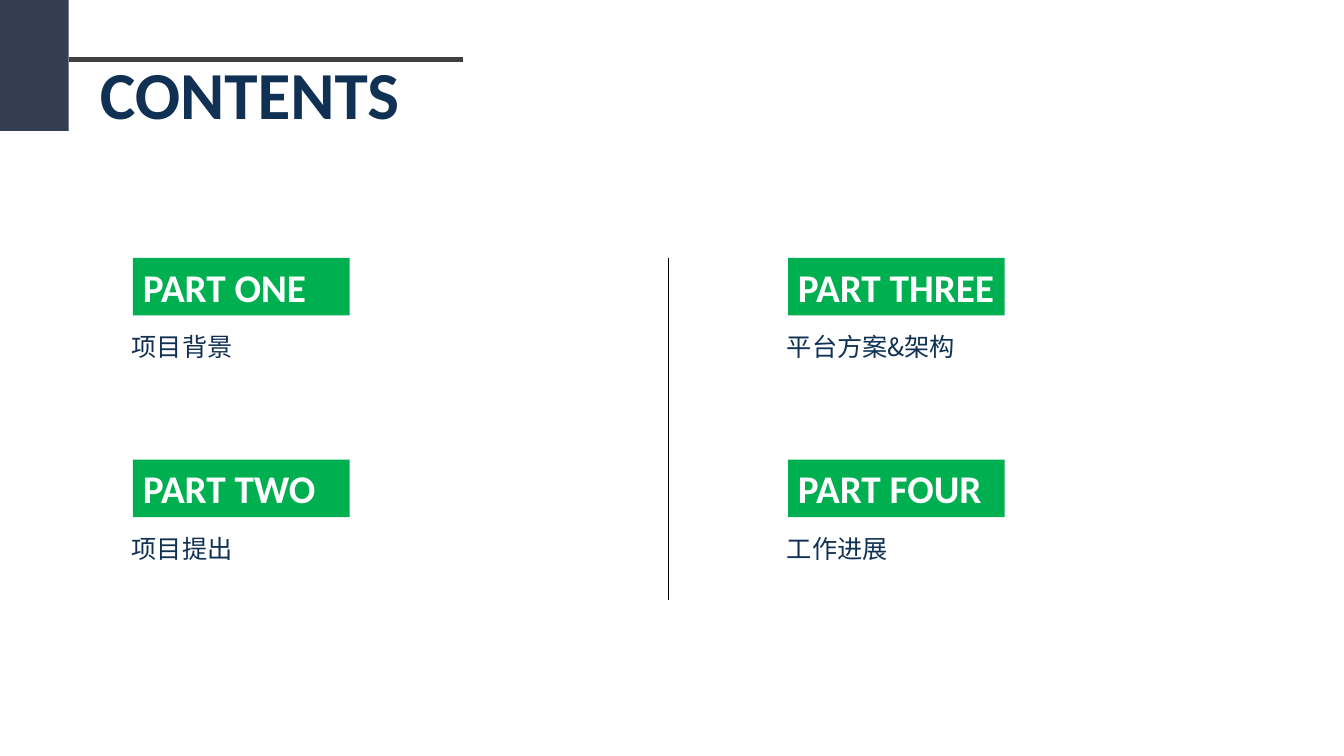
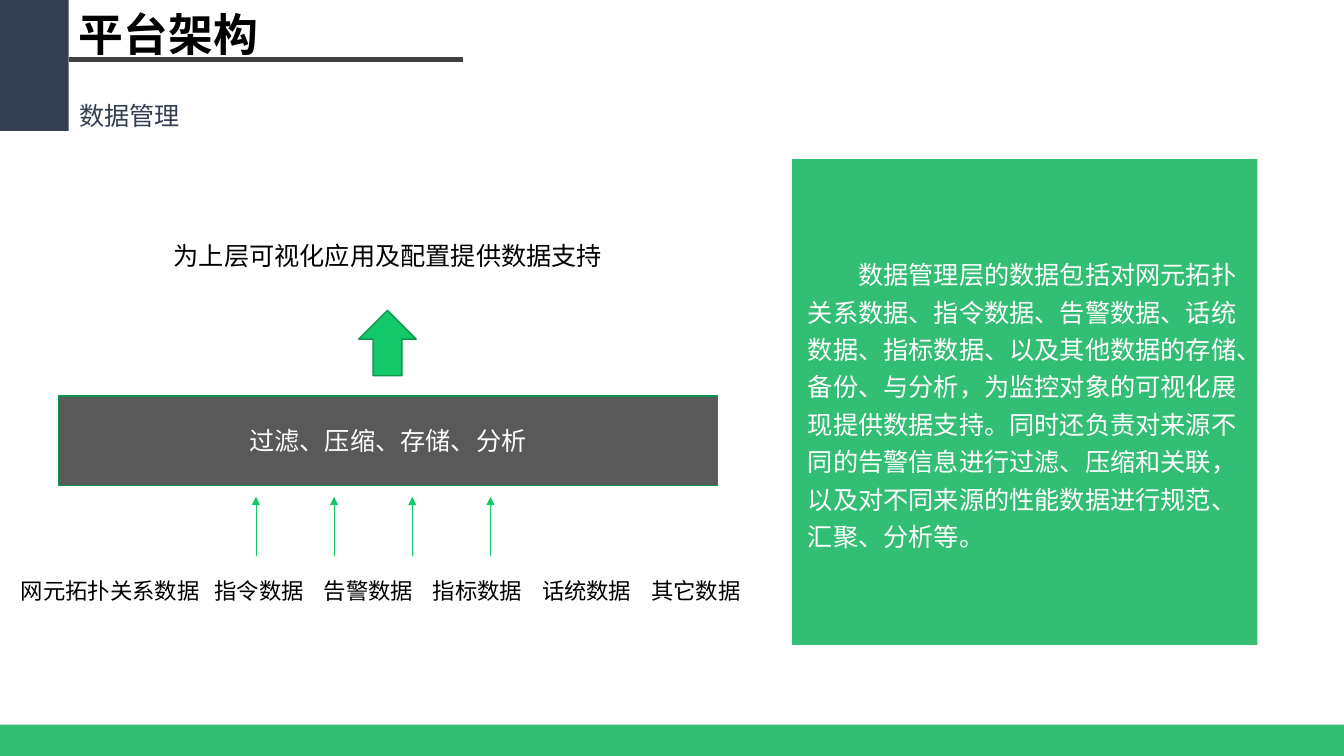
from lxml import etree
from pptx import Presentation
from pptx.dml.color import RGBColor
from pptx.enum.shapes import MSO_CONNECTOR as Link, MSO_SHAPE as Kind
from pptx.enum.text import MSO_ANCHOR as Anchor, MSO_AUTO_SIZE as Fit, PP_ALIGN as Align
from pptx.oxml.ns import qn
from pptx.util import Cm, Pt

WIDE, HIGH = 33.87, 19.05
LATIN, HAN = "Calibri", "Noto Sans CJK SC"
NAVY, SLATE, GRAY, DARK = "103154", "333F50", "404040", "595959"
GREEN, BRIGHT, EDGE = "00B050", "12C869", "0D944E"
BLACK, WHITE = "000000", "FFFFFF"

PARTS = [
    [("PART ONE", "项目背景"), ("PART TWO", "项目提出")],
    [("PART THREE", "平台方案&架构"), ("PART FOUR", "工作进展")],
]
SOURCES = ["网元拓扑关系数据", "指令数据", "告警数据", "指标数据", "话统数据", "其它数据"]
STEPS = "过滤、压缩、存储、分析"
GOAL = "为上层可视化应用及配置提供数据支持"
DETAIL = (
    "数据管理层的数据包括对网元拓扑关系数据、指令数据、告警数据、话统数据、"
    "指标数据、以及其他数据的存储、备份、与分析，为监控对象的可视化展现提供数据支持。"
    "同时还负责对来源不同的告警信息进行过滤、压缩和关联，"
    "以及对不同来源的性能数据进行规范、汇聚、分析等。"
)


def color(code):
    return RGBColor.from_string(code)


def write(frame, text, size, ink, font=HAN, bold=False, align=Align.LEFT,
          anchor=Anchor.TOP, lead=None):
    frame.word_wrap = True
    frame.auto_size = Fit.NONE
    frame.vertical_anchor = anchor
    para = frame.paragraphs[0]
    para.alignment = align
    if lead:
        para.line_spacing = lead
    run = para.add_run()
    run.text = text
    run.font.size = Pt(size)
    run.font.bold = bold
    run.font.name = font
    run.font.color.rgb = color(ink)
    etree.SubElement(run.font._element, qn("a:ea"), typeface=HAN)
    return para


def label(slide, box, text, size, ink, **style):
    frame = slide.shapes.add_textbox(*map(Cm, box)).text_frame
    return write(frame, text, size, ink, **style)


def block(slide, box, fill, edge=None, kind=Kind.RECTANGLE, alpha=None):
    shape = slide.shapes.add_shape(kind, *map(Cm, box))
    shape.shadow.inherit = False
    shape.fill.solid()
    shape.fill.fore_color.rgb = color(fill)
    if alpha:
        tint = shape.fill._xPr.find(".//" + qn("a:srgbClr"))
        etree.SubElement(tint, qn("a:alpha"), val=str(alpha * 1000))
    if edge:
        shape.line.color.rgb = color(edge)
        shape.line.width = Pt(1)
    else:
        shape.line.fill.background()
    return shape


def rule(slide, start, end, ink, width, arrow=False):
    line = slide.shapes.add_connector(Link.STRAIGHT, *map(Cm, start + end))
    line.line.color.rgb = color(ink)
    line.line.width = Pt(width)
    if arrow:
        etree.SubElement(line.line._get_or_add_ln(), qn("a:tailEnd"), type="triangle")
    etree.SubElement(line._element.spPr, qn("a:effectLst"))


def page(deck, title, box, size, ink, font):
    """Add a slide with the corner block, the header rule and its title."""
    slide = deck.slides.add_slide(deck.slide_layouts[5])
    block(slide, (0, 0, 1.73, 3.3), SLATE)
    rule(slide, (1.73, 1.5), (11.68, 1.5), GRAY, 3)
    head = slide.shapes.title
    head.left, head.top, head.width, head.height = map(Cm, box)
    write(head.text_frame, title, size, ink, font=font, bold=True, anchor=Anchor.MIDDLE)
    return slide


def contents(deck):
    slide = page(deck, "CONTENTS", (2.26, 1.19, 8.4, 2.31), 48, NAVY, LATIN)
    for col, parts in enumerate(PARTS):
        for row, (tag, name) in enumerate(parts):
            left, top = 3.35 + 16.51 * col, 6.5 + 5.08 * row
            mark = block(slide, (left, top, 5.46, 1.45), GREEN)
            write(mark.text_frame, tag, 28, WHITE, font=LATIN, bold=True,
                  anchor=Anchor.MIDDLE)
            label(slide, (left - 0.28, top + 1.53, 11.53, 1.17), name, 18, NAVY,
                  lead=1.3, anchor=Anchor.MIDDLE)
    rule(slide, (16.84, 6.5), (16.84, 15.11), BLACK, 1)


def platform(deck):
    slide = page(deck, "平台架构", (1.73, 0.03, 6, 1.63), 32, BLACK, HAN)
    label(slide, (1.75, 2.41, 10.95, 1.02), "数据管理", 18, SLATE, anchor=Anchor.MIDDLE)

    label(slide, (3.91, 5.92, 11.73, 1.02), GOAL, 18, BLACK,
          align=Align.CENTER, anchor=Anchor.MIDDLE)
    block(slide, (9.04, 7.82, 1.45, 1.65), BRIGHT, EDGE, Kind.UP_ARROW)
    bar = block(slide, (1.47, 9.98, 16.61, 2.26), DARK, EDGE)
    write(bar.text_frame, STEPS, 18, WHITE, align=Align.CENTER, anchor=Anchor.MIDDLE)
    for i in range(4):
        x = 6.45 + 1.97 * i
        rule(slide, (x, 14), (x, 12.52), BRIGHT, 0.5, arrow=True)

    row = label(slide, (0.28, 14.3, 18.9, 1.17), "\t".join(SOURCES), 16, BLACK,
                anchor=Anchor.MIDDLE)
    tabs = etree.SubElement(row._p.get_or_add_pPr(), qn("a:tabLst"))
    for i in range(len(SOURCES) - 1):
        etree.SubElement(tabs, qn("a:tab"), pos=str(Cm(4.88 + 2.75 * i)), algn="l")

    panel = block(slide, (19.96, 4.01, 11.73, 12.24), GREEN, alpha=80)
    frame = panel.text_frame
    frame.margin_left, frame.margin_right = Cm(0.4), Cm(0.23)
    para = write(frame, DETAIL, 18, WHITE, anchor=Anchor.MIDDLE, lead=1.24)
    para._p.get_or_add_pPr().set("indent", str(Cm(1.27)))
    block(slide, (0, 18.26, WIDE, HIGH - 18.26), GREEN, alpha=80)


def main():
    deck = Presentation()
    deck.slide_width, deck.slide_height = Cm(WIDE), Cm(HIGH)
    contents(deck)
    platform(deck)
    deck.save("out.pptx")


if __name__ == "__main__":
    main()
